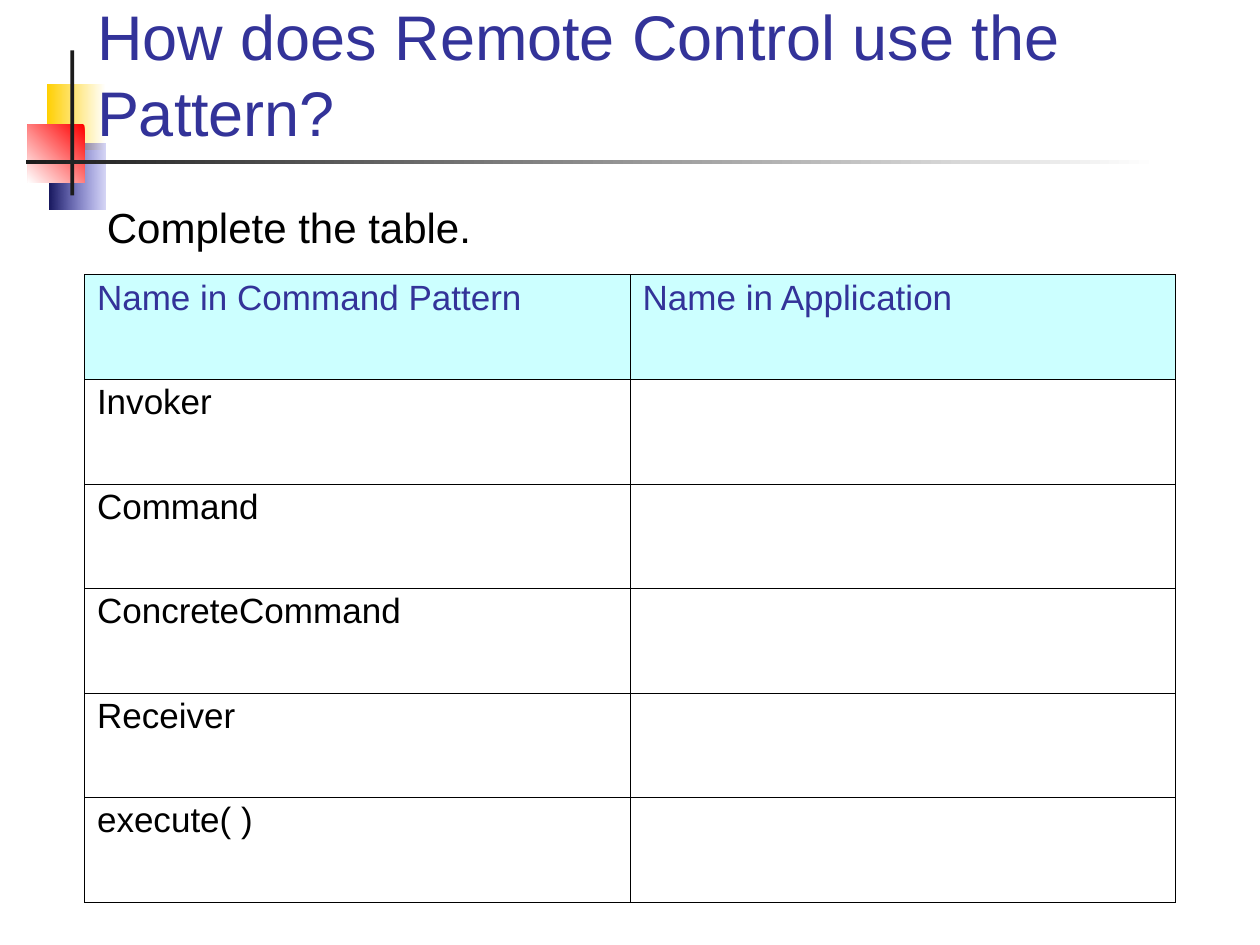
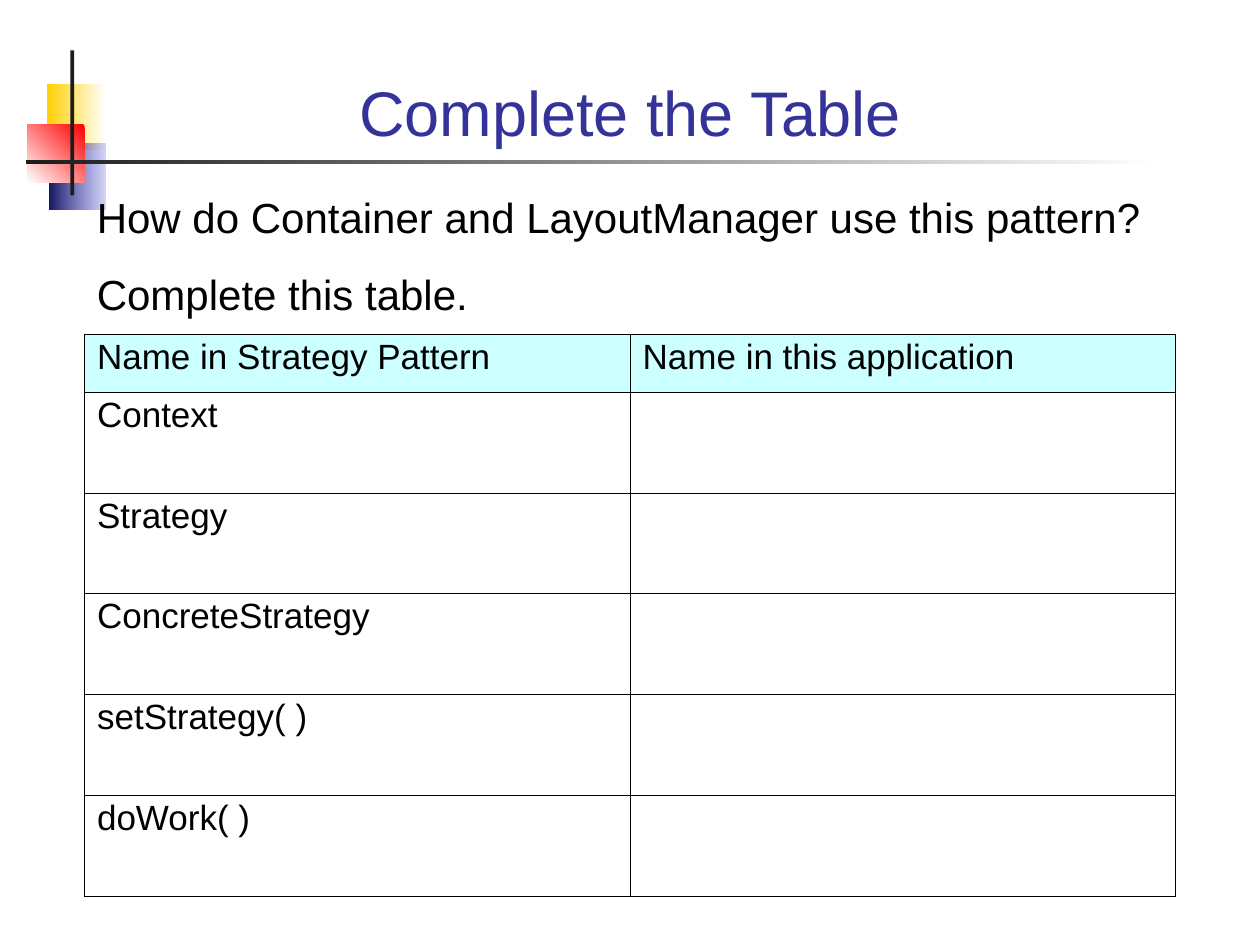
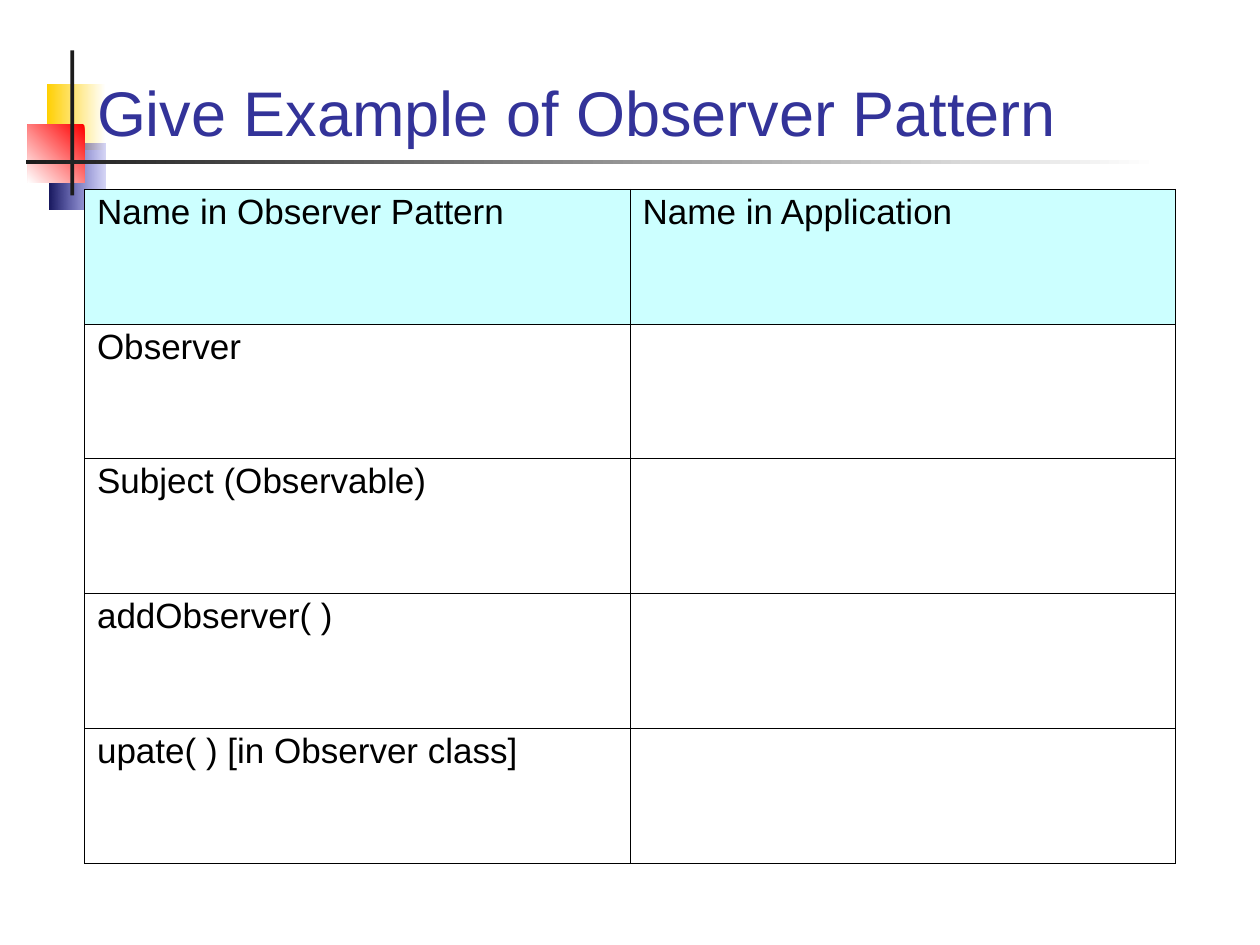
from dataclasses import dataclass
from typing import Optional

from lxml.etree import SubElement
from pptx import Presentation
from pptx.dml.color import RGBColor
from pptx.enum.text import MSO_ANCHOR as Anchor, MSO_AUTO_SIZE as AutoSize, PP_ALIGN as Align
from pptx.oxml.ns import qn
from pptx.util import Inches, Pt

COLORS = {
    "title": "333399",
    "text": "000000",
    "header": "CCFFFF",
    "border": "000000",
    "bar": "1C1C1C",
    "white": "FFFFFF",
    "yellow": "FFCF01",
    "blue": "3333CC",
    "navy": "17175E",
    "red": "FF0000",
}
FONT = "Arial"
TITLE_ONLY = 5
TABLE_LEFT, TABLE_WIDTH = 0.67, 8.66
OUTER_LINE, INNER_LINE = Pt(0.23), Pt(0.11)


@dataclass(frozen=True)
class Block:
    left: float
    top: float
    width: float
    height: float
    start: str
    end: Optional[str] = None
    angle: float = 180
    start_opacity: Optional[int] = None


@dataclass(frozen=True)
class Prompt:
    left: float
    top: float
    width: float
    height: float
    lines: tuple[str, ...]


@dataclass(frozen=True)
class Exercise:
    title: str
    headers: tuple[str, str]
    names: tuple[str, ...]
    table_top: float
    header_height: float
    row_height: float
    prompt: Optional[Prompt] = None
    title_align: Align = Align.LEFT
    header_color: str = "text"


DECORATION = (
    Block(0.37, 0.67, 0.47, 0.52, "white", "yellow"),
    Block(0.39, 1.14, 0.45, 0.52, "blue", "navy", start_opacity=20),
    Block(0.22, 0.99, 0.45, 0.46, "red", "white", angle=225),
    Block(0.56, 0.4, 0.03, 1.15, "bar"),
    Block(0.21, 1.27, 8.99, 0.03, "white", "bar"),
)

EXERCISES = (
    Exercise(
        "How does Remote Control use the Pattern?",
        ("Name in Command Pattern", "Name in Application"),
        ("Invoker", "Command", "ConcreteCommand", "Receiver", "execute( )"),
        2.18, 0.83, 0.83,
        prompt=Prompt(0.75, 1.55, 8.58, 0.5, ("Complete the table.",)),
        header_color="title",
    ),
    Exercise(
        "Complete the Table",
        ("Name in Strategy Pattern", "Name in this application"),
        ("Context", "Strategy", "ConcreteStrategy", "setStrategy( )", "doWork( )"),
        2.65, 0.46, 0.8,
        prompt=Prompt(0.67, 1.47, 8.74, 1.11, (
            "How do Container and LayoutManager use this pattern?",
            "Complete this table.",
        )),
        title_align=Align.CENTER,
    ),
    Exercise(
        "Give Example of Observer Pattern",
        ("Name in Observer Pattern", "Name in Application"),
        ("Observer", "Subject (Observable)", "addObserver( )", "upate( ) [in Observer class]"),
        1.5, 1.07, 1.07,
    ),
)


def rgb(name: str) -> RGBColor:
    return RGBColor.from_string(COLORS[name])


def write(frame, *lines: str, size: float, color: str = "text", align: Align = Align.LEFT,
          line_spacing: float = 1.0, gap: float = 0) -> None:
    frame.word_wrap = True
    for index, line in enumerate(lines):
        paragraph = frame.add_paragraph() if index else frame.paragraphs[0]
        paragraph.text = line
        paragraph.alignment = align
        paragraph.line_spacing = line_spacing
        paragraph.space_before = Pt(gap if index else 0)
        paragraph.font.name = FONT
        paragraph.font.size = Pt(size)
        paragraph.font.color.rgb = rgb(color)


def place(shape, left: float, top: float, width: float, height: float) -> None:
    shape.left, shape.top = Inches(left), Inches(top)
    shape.width, shape.height = Inches(width), Inches(height)


def add_block(slide, block: Block):
    shape = slide.shapes.add_shape(
        1, Inches(block.left), Inches(block.top), Inches(block.width), Inches(block.height))
    shape.shadow.inherit = False
    shape.line.fill.background()
    if block.end is None:
        shape.fill.solid()
        shape.fill.fore_color.rgb = rgb(block.start)
        return shape
    shape.fill.gradient()
    shape.fill.gradient_angle = block.angle
    for stop, color in zip(shape.fill.gradient_stops, (block.start, block.end)):
        stop.color.rgb = rgb(color)
    if block.start_opacity is not None:
        first_color = shape.element.find(".//" + qn("a:srgbClr"))
        SubElement(first_color, qn("a:alpha"), val=str(block.start_opacity * 1000))
    return shape


def decorate_layout(layout, slide) -> None:
    for placeholder in list(layout.placeholders)[1:]:
        placeholder.element.getparent().remove(placeholder.element)
    title = layout.placeholders[0].element
    for block in DECORATION:
        title.addprevious(add_block(slide, block).element)


def set_border(cell, side: str, width: int) -> None:
    properties = cell._tc.get_or_add_tcPr()
    line = SubElement(properties, qn(f"a:ln{side}"), w=str(width))
    fill = SubElement(line, qn("a:solidFill"))
    SubElement(fill, qn("a:srgbClr"), val=COLORS["border"])


def add_exercise_table(slide, exercise: Exercise) -> None:
    rows = [exercise.headers] + [(name, "") for name in exercise.names]
    heights = [exercise.header_height] + [exercise.row_height] * len(exercise.names)
    table = slide.shapes.add_table(
        len(rows), 2, Inches(TABLE_LEFT), Inches(exercise.table_top),
        Inches(TABLE_WIDTH), Inches(sum(heights))).table
    table.first_row = table.horz_banding = False
    for column in table.columns:
        column.width = Inches(TABLE_WIDTH / 2)
    for row_index, (texts, height) in enumerate(zip(rows, heights)):
        table.rows[row_index].height = Inches(height)
        is_header = row_index == 0
        for column_index, text in enumerate(texts):
            cell = table.cell(row_index, column_index)
            outer_sides = {
                "L": column_index == 0,
                "R": column_index == 1,
                "T": is_header,
                "B": row_index == len(rows) - 1,
            }
            for side, is_outer in outer_sides.items():
                set_border(cell, side, OUTER_LINE if is_outer else INNER_LINE)
            if is_header:
                cell.fill.solid()
                cell.fill.fore_color.rgb = rgb("header")
            else:
                cell.fill.background()
            if text:
                write(cell.text_frame, text, size=20, line_spacing=0.93,
                      color=exercise.header_color if is_header else "text")


def add_title(slide, exercise: Exercise) -> None:
    title = slide.shapes.title
    place(title, 0.67, 0.28, 8.66, 0.95)
    title.text_frame.auto_size = AutoSize.NONE
    title.text_frame.vertical_anchor = Anchor.BOTTOM
    write(title.text_frame, exercise.title, size=36, color="title", align=exercise.title_align)


def add_prompt(slide, prompt: Prompt) -> None:
    box = slide.shapes.add_textbox(
        Inches(prompt.left), Inches(prompt.top), Inches(prompt.width), Inches(prompt.height))
    box.text_frame.auto_size = AutoSize.SHAPE_TO_FIT_TEXT
    write(box.text_frame, *prompt.lines, size=24, gap=15)


def main() -> None:
    presentation = Presentation()
    presentation.slide_width, presentation.slide_height = Inches(10), Inches(7.5)
    layout = presentation.slide_layouts[TITLE_ONLY]
    slides = [presentation.slides.add_slide(layout) for _ in EXERCISES]
    decorate_layout(layout, slides[0])
    for slide, exercise in zip(slides, EXERCISES):
        add_title(slide, exercise)
        add_exercise_table(slide, exercise)
        if exercise.prompt:
            add_prompt(slide, exercise.prompt)
    presentation.save("out.pptx")


if __name__ == "__main__":
    main()
